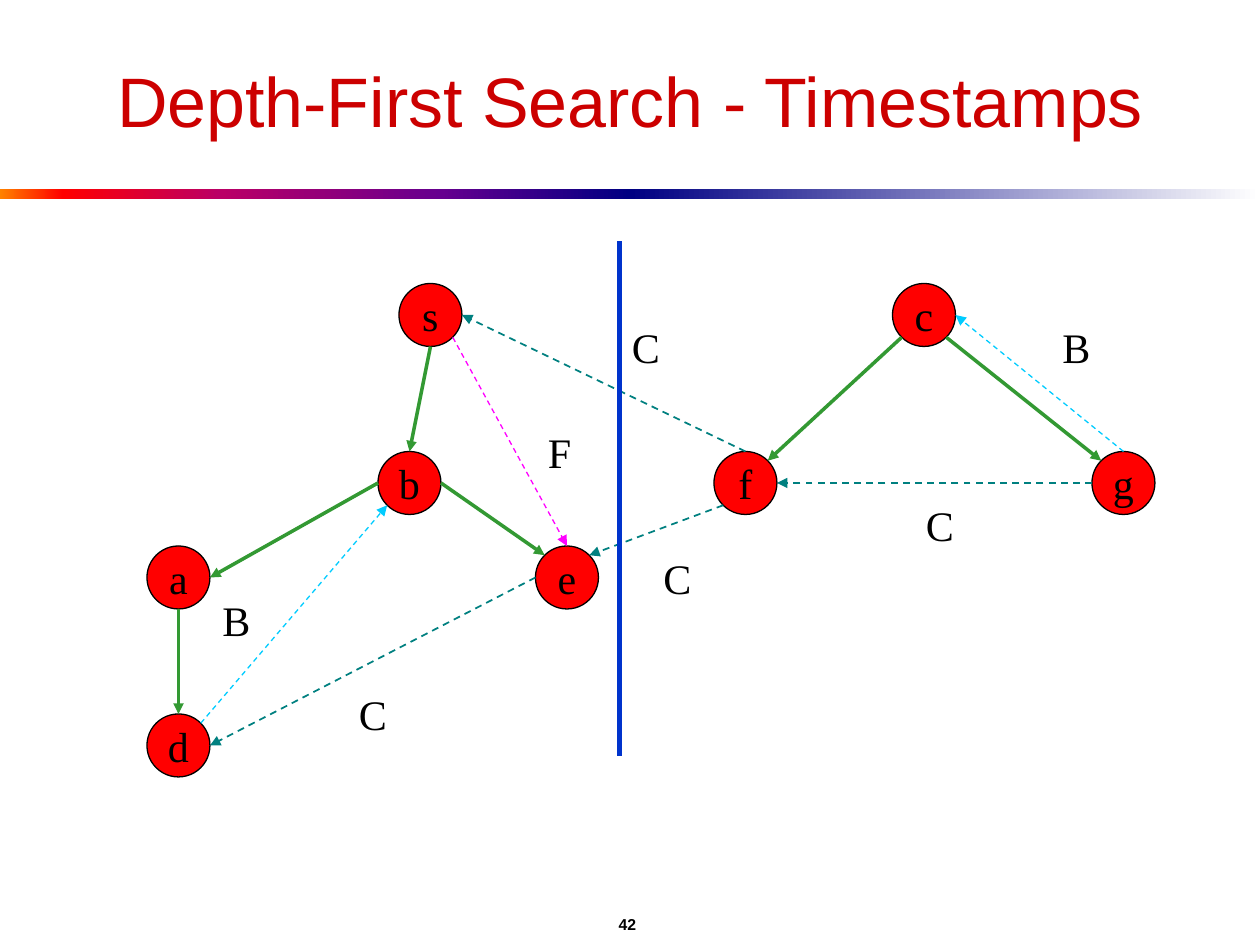
import math

import lxml.etree
import pptx
import pptx.dml.color
import pptx.enum.dml
import pptx.enum.shapes
import pptx.enum.text
import pptx.oxml.ns
import pptx.util

Pt = pptx.util.Pt
ALIGN = pptx.enum.text.PP_ALIGN
ANCHOR = pptx.enum.text.MSO_ANCHOR
SHAPE = pptx.enum.shapes.MSO_SHAPE

NODE_SIZE = 36
NODES = {
    "a": (0, 174), "e": (222, 174), "s": (144, 24), "b": (132, 120),
    "f": (324, 120), "d": (0, 270), "c": (426, 24), "g": (540, 120),
}
SIDE_ANGLES = {"E": 0, "SE": 45, "S": 90, "SW": 135, "W": 180, "NW": 225, "N": 270, "NE": 315}
EDGE_STYLES = {
    "tree": ("339933", 2, False),
    "back": ("00CCFF", 0.75, True),
    "forward": ("FF00FF", 0.75, True),
    "cross": ("008080", 1, True),
}
EDGES = [
    ("b", "W", "a", "E", "tree"),
    ("a", "S", "d", "N", "tree"),
    ("b", "E", "e", "NW", "tree"),
    ("s", "S", "b", "N", "tree"),
    ("c", "SW", "f", "NE", "tree"),
    ("c", "SE", "g", "NW", "tree"),
    ("d", "NE", "b", "SW", "back"),
    ("g", "N", "c", "E", "back"),
    ("s", "SE", "e", "N", "forward"),
    ("e", "W", "d", "E", "cross"),
    ("f", "SW", "e", "NE", "cross"),
    ("f", "N", "s", "E", "cross"),
    ("g", "W", "f", "E", "cross"),
]
EDGE_LABELS = [
    ("B", 516, 42), ("F", 222, 102), ("C", 114, 252), ("C", 438, 144),
    ("C", 288, 174), ("C", 270, 42), ("B", 36, 198),
]


def colour(hex_string):
    """Return the colour object for a hex string."""
    return pptx.dml.color.RGBColor.from_string(hex_string)


def write_text(shape, text, size=24, font="Times New Roman", color="000000", bold=False,
               align=ALIGN.LEFT, anchor=ANCHOR.TOP, wrap=False):
    """Write one formatted line of text into a shape."""
    frame = shape.text_frame
    frame.text = text
    frame.word_wrap = wrap
    frame.auto_size = pptx.enum.text.MSO_AUTO_SIZE.NONE
    frame.vertical_anchor = anchor
    paragraph = frame.paragraphs[0]
    paragraph.alignment = align
    run_font = paragraph.runs[0].font
    run_font.name, run_font.size, run_font.bold = font, Pt(size), bold
    run_font.color.rgb = colour(color)


def add_line(slide, start, end, color, width, dashed=False, arrow=False):
    """Draw a straight line between two points, with an optional arrowhead at its end."""
    line = slide.shapes.add_connector(
        pptx.enum.shapes.MSO_CONNECTOR.STRAIGHT, *(Pt(value) for value in (*start, *end)))
    line.line.color.rgb = colour(color)
    line.line.width = Pt(width)
    if dashed:
        line.line.dash_style = pptx.enum.dml.MSO_LINE.DASH
    properties = line._element.spPr
    if arrow:
        outline = properties.find(pptx.oxml.ns.qn("a:ln"))
        lxml.etree.SubElement(outline, pptx.oxml.ns.qn("a:tailEnd"), type="triangle")
    lxml.etree.SubElement(properties, pptx.oxml.ns.qn("a:effectLst"))


def add_gradient_bar(slide, left, top, width, height, stops):
    """Draw a bar with a left-to-right gradient of (percent, colour) stops."""
    bar = slide.shapes.add_shape(SHAPE.RECTANGLE, Pt(left), Pt(top), Pt(width), Pt(height))
    bar.shadow.inherit = False
    bar.line.fill.background()
    bar.fill.gradient()
    bar.fill.gradient_angle = 0
    stop_list = bar._element.spPr.find(".//" + pptx.oxml.ns.qn("a:gsLst"))
    for stop in list(stop_list):
        stop_list.remove(stop)
    for percent, color in stops:
        stop = lxml.etree.SubElement(stop_list, pptx.oxml.ns.qn("a:gs"), pos=str(percent * 1000))
        lxml.etree.SubElement(stop, pptx.oxml.ns.qn("a:srgbClr"), val=color)


def add_divider_band(slide, left, top, width, height):
    """Draw the coloured band below the title in two halves."""
    half = width / 2
    add_gradient_bar(slide, left, top, half, height, [
        (0, "FF8200"), (10, "FF0000"), (35, "BA0066"), (70, "66008F"), (100, "000082")])
    add_gradient_bar(slide, left + half, top, half, height, [(0, "000082"), (100, "FFFFFF")])


def add_title(slide, left, top, width, height):
    """Place and format the title placeholder."""
    title = slide.shapes.title
    title.left, title.top, title.width, title.height = map(Pt, (left, top, width, height))
    write_text(title, "Depth-First Search - Timestamps", size=40, font="Arial", color="CC0000",
               align=ALIGN.CENTER, anchor=ANCHOR.MIDDLE, wrap=True)


def add_page_number(slide, left, top, width, height):
    """Write the page number in the middle of the footer."""
    box = slide.shapes.add_textbox(Pt(left), Pt(top), Pt(width), Pt(height))
    write_text(box, "42", size=9, font="Arial", bold=True,
               align=ALIGN.CENTER, anchor=ANCHOR.MIDDLE, wrap=True)


def rim_point(left, top, node, side):
    """Return the point on a node's rim at a compass side."""
    radius = NODE_SIZE / 2
    angle = math.radians(SIDE_ANGLES[side])
    x, y = NODES[node]
    return (left + x + radius * (1 + math.cos(angle)), top + y + radius * (1 + math.sin(angle)))


def add_node(slide, left, top, name):
    """Draw one round graph node with its name."""
    node = slide.shapes.add_shape(
        SHAPE.FLOWCHART_CONNECTOR, Pt(left), Pt(top), Pt(NODE_SIZE), Pt(NODE_SIZE))
    node.shadow.inherit = False
    node.fill.solid()
    node.fill.fore_color.rgb = colour("FF0000")
    node.line.color.rgb = colour("000000")
    node.line.width = Pt(0.75)
    write_text(node, name, align=ALIGN.CENTER, anchor=ANCHOR.MIDDLE)


def add_search_forest(slide, left, top, height):
    """Draw the nodes, classified edges, edge labels and the line between the two trees."""
    for name, (x, y) in NODES.items():
        add_node(slide, left + x, top + y, name)
    for source, source_side, target, target_side, kind in EDGES:
        color, width, dashed = EDGE_STYLES[kind]
        add_line(slide, rim_point(left, top, source, source_side),
                 rim_point(left, top, target, target_side), color, width, dashed, arrow=True)
    for text, x, y in EDGE_LABELS:
        label = slide.shapes.add_textbox(Pt(left + x), Pt(top + y), Pt(30), Pt(36))
        write_text(label, text)
    divider = left + 270
    add_line(slide, (divider, top), (divider, top + height), "0033CC", 3)


def main():
    """Build the slide and save it."""
    presentation = pptx.Presentation()
    presentation.slide_width, presentation.slide_height = Pt(720), Pt(540)
    slide = presentation.slides.add_slide(presentation.slide_layouts[5])
    add_divider_band(slide, 0, 108, 720, 6)
    add_page_number(slide, 35, 516, 647, 24)
    add_title(slide, 36, 18, 648, 78)
    add_search_forest(slide, 84, 138, 294)
    presentation.save("out.pptx")


if __name__ == "__main__":
    main()
